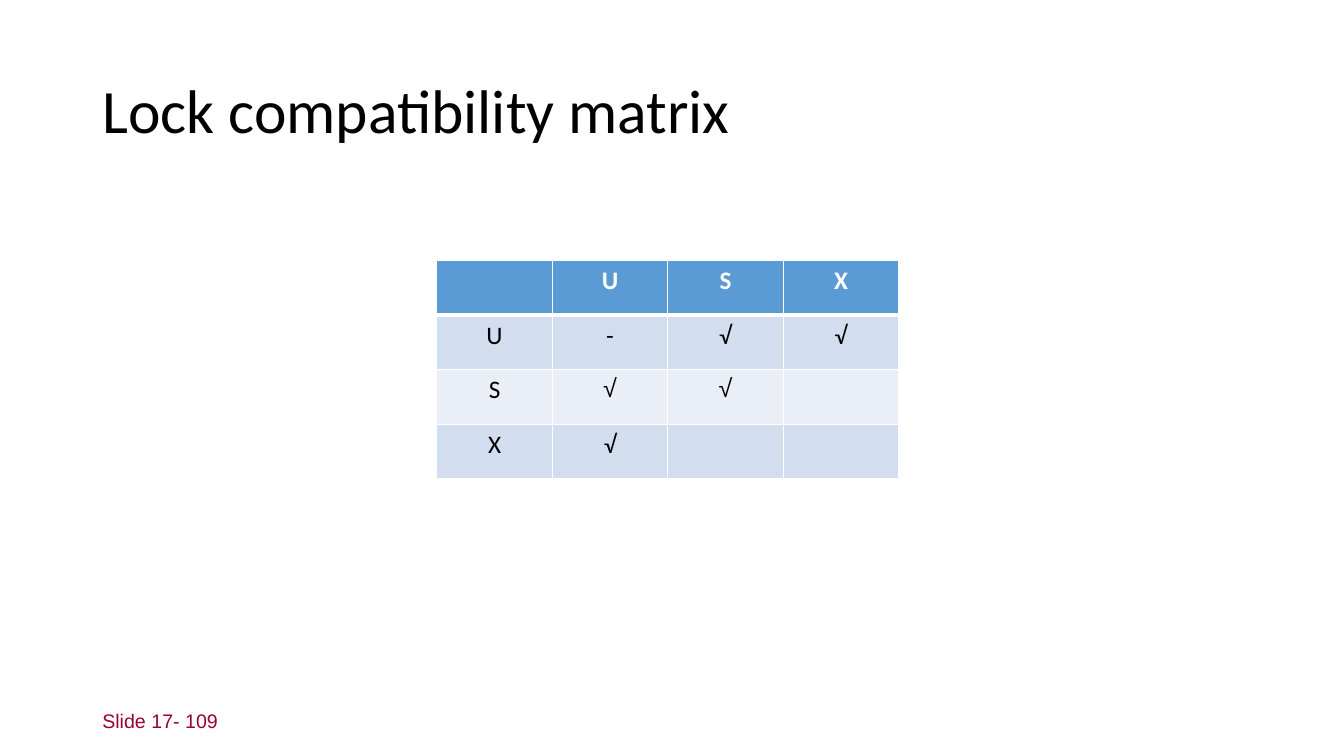
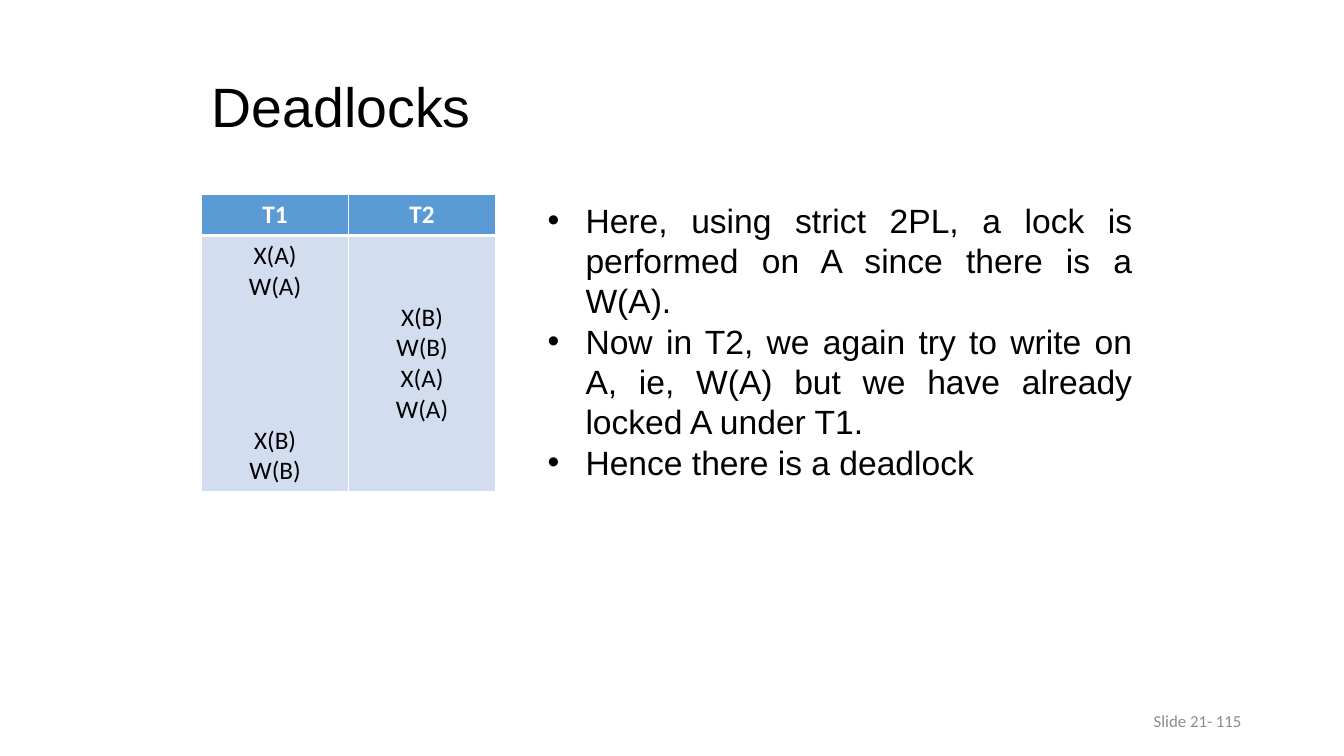
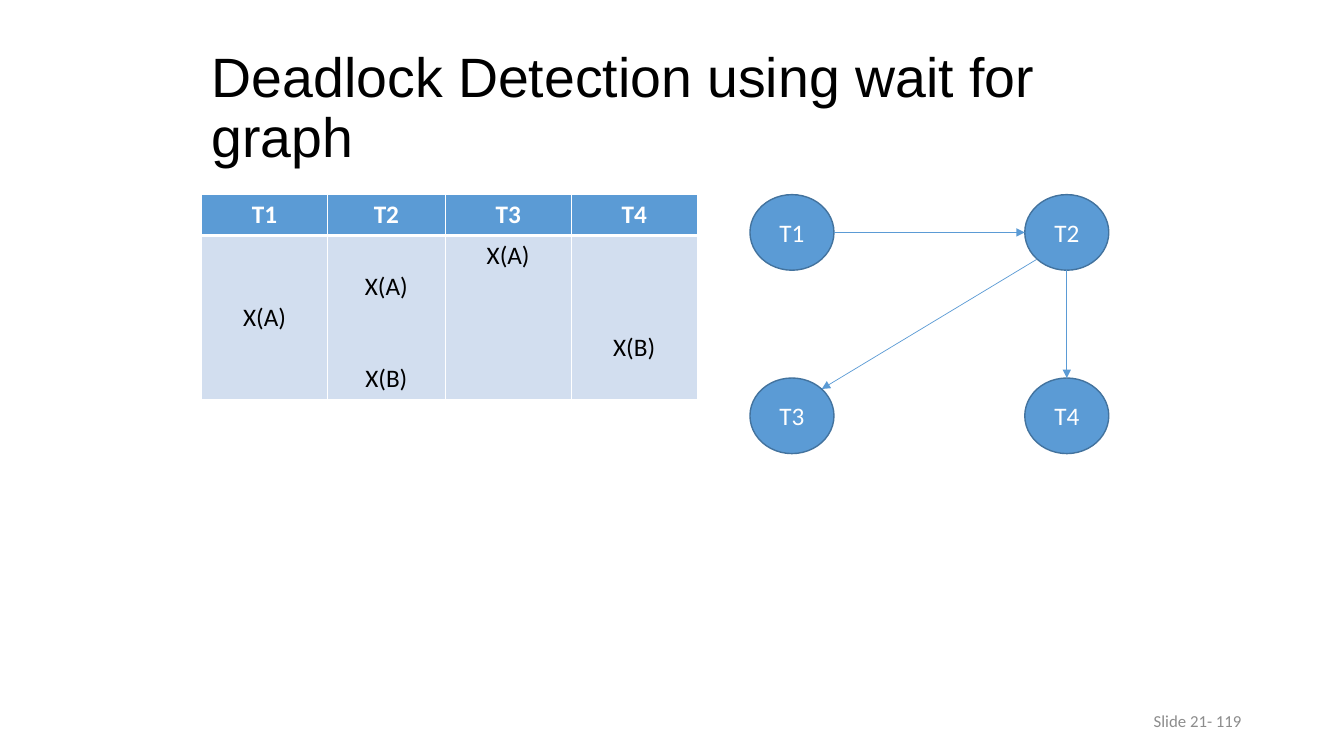
"""Build three slides on lock compatibility and deadlocks."""
from lxml.etree import SubElement
from pptx import Presentation
from pptx.dml.color import RGBColor
from pptx.enum.shapes import MSO_CONNECTOR, MSO_SHAPE
from pptx.enum.text import MSO_ANCHOR, MSO_AUTO_SIZE, PP_ALIGN
from pptx.oxml.ns import qn
from pptx.util import Pt

BLACK = RGBColor(0x00, 0x00, 0x00)
WHITE = RGBColor(0xFF, 0xFF, 0xFF)
BLUE = RGBColor(0x5B, 0x9B, 0xD5)
OUTLINE = RGBColor(0x43, 0x73, 0x9E)
BANDS = (RGBColor(0xD2, 0xDE, 0xEF), RGBColor(0xEA, 0xEF, 0xF7))

LOCK_TITLE = {"name": "Calibri", "size": Pt(44), "color": BLACK}
DEADLOCK_TITLE = {"name": "Arial", "size": Pt(39.6), "color": BLACK}
BULLET = {"name": "Arial", "size": Pt(24), "color": BLACK}
CELL = {"name": "Calibri", "size": Pt(18), "color": BLACK, "bold": False}
HEADER = {**CELL, "color": WHITE, "bold": True}
NODE = {**CELL, "color": WHITE}
RED_FOOTER = {"name": "Arial", "size": Pt(14), "color": RGBColor(0x99, 0x00, 0x33)}
GREY_FOOTER = {"name": "Calibri", "size": Pt(12), "color": RGBColor(0x8C, 0x8C, 0x8C)}

TITLE_ONLY, TITLE_AND_BODY = 5, 1
LINE = 22
MARGIN = 3.6
HEADER_HEIGHT = 29
NODE_WIDTH, NODE_HEIGHT = 60, 54


def set_format(target, values):
    """Set attributes of a pptx object from a dict."""
    for name, value in values.items():
        if name == "color":
            target.color.rgb = value
        else:
            setattr(target, name, value)


def place(shape, left, top, width, height):
    """Position a shape, in points."""
    set_format(shape, {"left": Pt(left), "top": Pt(top),
                       "width": Pt(width), "height": Pt(height)})


def write(paragraph, text, look, **layout):
    """Write one formatted run into a paragraph."""
    set_format(paragraph, layout)
    span = paragraph.add_run()
    span.text = text
    set_format(span.font, look)


def set_frame(frame, anchor, **values):
    """Make a text frame wrap at a fixed size."""
    set_format(frame, {"word_wrap": True, "auto_size": MSO_AUTO_SIZE.NONE,
                       "vertical_anchor": anchor, **values})


def add_page(deck, layout, title, look, area, line_spacing, **margins):
    """Add a slide with a formatted title."""
    page = deck.slides.add_slide(deck.slide_layouts[layout])
    place(page.shapes.title, *area)
    frame = page.shapes.title.text_frame
    set_frame(frame, MSO_ANCHOR.MIDDLE, **margins)
    write(frame.paragraphs[0], title, look,
          alignment=PP_ALIGN.LEFT, line_spacing=line_spacing)
    return page


def add_deadlock_page(deck, layout, title, number):
    """Add a slide with the deadlock title and footer."""
    page = add_page(deck, layout, title, DEADLOCK_TITLE, (144, 53.3, 672, 46),
                    Pt(43), margin_top=Pt(5.5), margin_bottom=Pt(MARGIN))
    add_footer(page, f"Slide 21- {number}", GREY_FOOTER, 678, PP_ALIGN.RIGHT)
    return page


def add_footer(page, text, look, left, alignment):
    """Add the slide number line."""
    box = page.shapes.add_textbox(Pt(left), Pt(500.4), Pt(216), Pt(28.8))
    set_frame(box.text_frame, MSO_ANCHOR.MIDDLE)
    write(box.text_frame.paragraphs[0], text, look, alignment=alignment)


def add_bullets(page, items, area):
    """Fill the body placeholder with justified bullets."""
    body = page.placeholders[1]
    place(body, *area)
    frame = body.text_frame
    set_frame(frame, MSO_ANCHOR.TOP)
    for index, item in enumerate(items):
        paragraph = frame.add_paragraph() if index else frame.paragraphs[0]
        properties = paragraph._p.get_or_add_pPr()
        properties.set("marL", str(Pt(27)))
        properties.set("indent", str(Pt(-27)))
        SubElement(properties, qn("a:buFont"), typeface="Arial")
        SubElement(properties, qn("a:buChar"), char="•")
        write(paragraph, item, BULLET, alignment=PP_ALIGN.JUSTIFY,
              line_spacing=Pt(28.8), space_before=Pt(0))


def set_borders(cell, top, bottom):
    """Give a cell white borders, 1 point at the sides."""
    properties = cell._tc.get_or_add_tcPr()
    for side, width in (("L", 1), ("R", 1), ("T", top), ("B", bottom)):
        border = SubElement(properties, qn(f"a:ln{side}"), w=str(Pt(width)))
        fill = SubElement(border, qn("a:solidFill"))
        SubElement(fill, qn("a:srgbClr"), val=str(WHITE))


def fill_cell(cell, steps, look):
    """Write texts at the given line numbers of a cell."""
    cell.margin_top = Pt(MARGIN + LINE * min(steps, default=0))
    cell.margin_bottom = Pt(MARGIN)
    previous = None
    for line, text in steps.items():
        if previous is None:
            write(cell.text_frame.paragraphs[0], text, look, alignment=PP_ALIGN.CENTER)
        else:
            write(cell.text_frame.add_paragraph(), text, look,
                  alignment=PP_ALIGN.CENTER,
                  space_before=Pt(LINE * (line - previous - 1)))
        previous = line


def add_grid(page, left, top, widths, heights, rows):
    """Add a banded table whose cells map line numbers to texts."""
    grid = page.shapes.add_table(len(rows), len(widths), Pt(left), Pt(top),
                                 Pt(sum(widths)), Pt(sum(heights))).table
    for column, width in zip(grid.columns, widths):
        column.width = Pt(width)
    for index, (row, height, entries) in enumerate(zip(grid.rows, heights, rows)):
        row.height = Pt(height)
        for cell, steps in zip(row.cells, entries):
            set_borders(cell, 3 if index == 1 else 1, 1 if index else 3)
            cell.fill.solid()
            cell.fill.fore_color.rgb = BANDS[(index - 1) % 2] if index else BLUE
            fill_cell(cell, steps, CELL if index else HEADER)
    return grid


def add_schedule(page, widths, schedule):
    """Add a table of transactions and their steps over time."""
    lines = 1 + max(line for steps in schedule.values() for line in steps)
    header = [{0: name} for name in schedule]
    add_grid(page, 144, 139, widths, (HEADER_HEIGHT, lines * LINE + 2 * MARGIN),
             (header, list(schedule.values())))


def add_node(page, name, left, top):
    """Add a transaction circle."""
    node = page.shapes.add_shape(MSO_SHAPE.OVAL, Pt(left), Pt(top),
                                 Pt(NODE_WIDTH), Pt(NODE_HEIGHT))
    node.shadow.inherit = False
    node.fill.solid()
    node.fill.fore_color.rgb = BLUE
    set_format(node.line, {"color": OUTLINE, "width": Pt(1)})
    set_frame(node.text_frame, MSO_ANCHOR.MIDDLE)
    write(node.text_frame.paragraphs[0], name, NODE, alignment=PP_ALIGN.CENTER)


def rim(corner, across, down):
    """Return the point of a circle's rim in a unit direction."""
    left, top = corner
    return (Pt(left + NODE_WIDTH / 2 * (1 + across)),
            Pt(top + NODE_HEIGHT / 2 * (1 + down)))


def add_arrow(page, start, end, across, down):
    """Link two circles, leaving the first in a unit direction."""
    arrow = page.shapes.add_connector(MSO_CONNECTOR.STRAIGHT,
                                      *rim(start, across, down),
                                      *rim(end, -across, -down))
    set_format(arrow.line, {"color": BLUE, "width": Pt(0.5)})
    properties = arrow.element.spPr
    SubElement(properties.find(qn("a:ln")), qn("a:tailEnd"), type="triangle")
    SubElement(properties, qn("a:effectLst"))


def add_wait_graph(page):
    """Draw the wait-for graph of four transactions."""
    corners = {"T1": (535.7, 139), "T2": (732, 139),
               "T3": (535.7, 270), "T4": (732, 270)}
    for name, corner in corners.items():
        add_node(page, name, *corner)
    for start, end, across, down in (("T1", "T2", 1, 0), ("T2", "T4", 0, 1),
                                     ("T2", "T3", -0.71, 0.71)):
        add_arrow(page, corners[start], corners[end], across, down)


def add_lock_matrix(page):
    """Add the lock compatibility table."""
    rows = (("", "U", "S", "X"), ("U", "-", "√", "√"),
            ("S", "√", "√", ""), ("X", "√", "", ""))
    grid = add_grid(page, 312, 186, [82.5] * 4, [39] * 4,
                    [[{0: text} if text else {} for text in row] for row in rows])
    for column in (1, 2):
        grid.cell(2, column).text_frame.paragraphs[0].runs[0].font.name = "Arial"


def main():
    """Build and save the deck."""
    deck = Presentation()
    set_format(deck, {"slide_width": Pt(960), "slide_height": Pt(540)})

    page = add_page(deck, TITLE_ONLY, "Lock compatibility matrix", LOCK_TITLE,
                    (66, 28.8, 828, 104.4), 0.9)
    add_lock_matrix(page)
    add_footer(page, "Slide 17- 109", RED_FOOTER, 66, PP_ALIGN.LEFT)

    page = add_deadlock_page(deck, TITLE_AND_BODY, "Deadlocks", 115)
    add_schedule(page, (105, 105), {
        "T1": {0: "X(A)", 1: "W(A)", 6: "X(B)", 7: "W(B)"},
        "T2": {2: "X(B)", 3: "W(B)", 4: "X(A)", 5: "W(A)"},
    })
    add_bullets(page, (
        "Here, using strict 2PL, a lock is performed on A since there is a W(A).",
        "Now in T2, we again try to write on A, ie, W(A) but we have already "
        "locked A under T1.",
        "Hence there is a deadlock",
    ), (384, 139, 432, 211))

    page = add_deadlock_page(deck, TITLE_ONLY,
                             "Deadlock Detection using wait for graph", 119)
    add_schedule(page, (90, 84, 90, 90), {
        "T1": {2: "X(A)"},
        "T2": {1: "X(A)", 4: "X(B)"},
        "T3": {0: "X(A)"},
        "T4": {3: "X(B)"},
    })
    add_wait_graph(page)

    deck.save("out.pptx")


if __name__ == "__main__":
    main()
